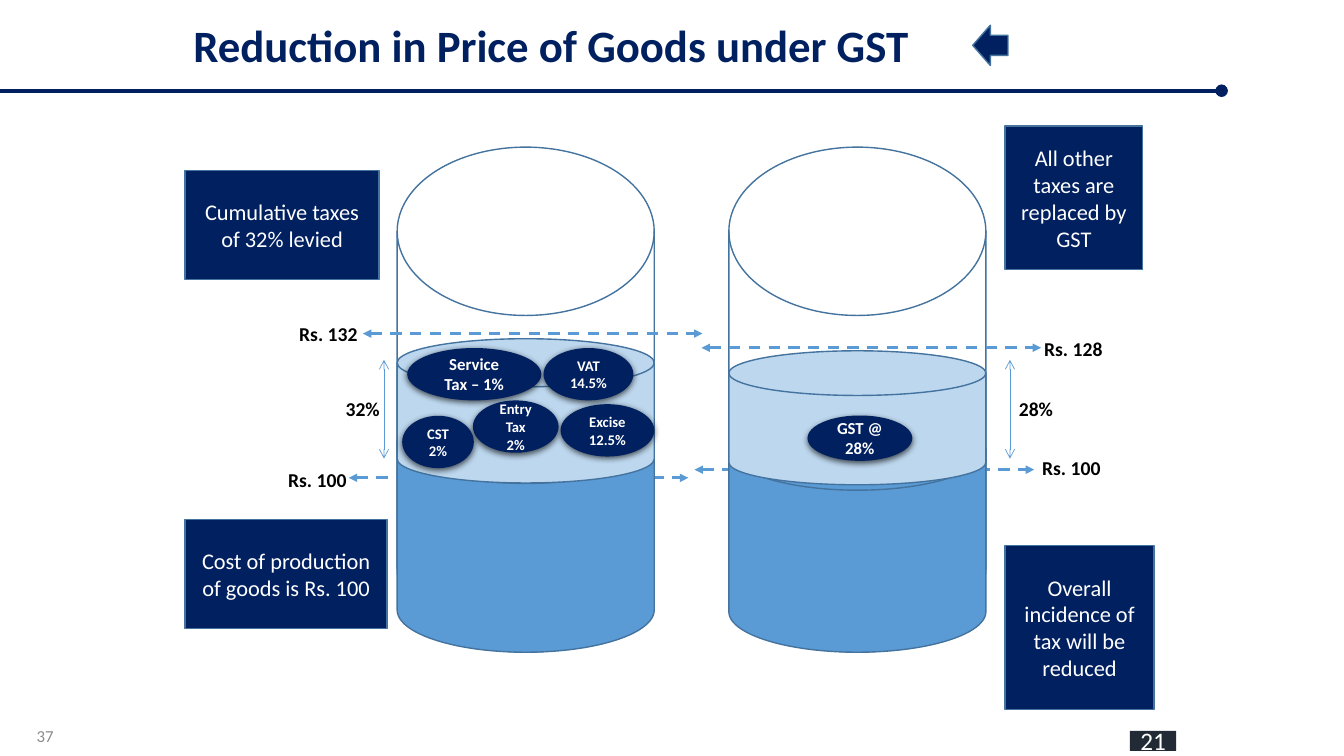
from lxml.etree import SubElement
from pptx import Presentation
from pptx.dml.color import RGBColor
from pptx.enum.dml import MSO_LINE
from pptx.enum.shapes import MSO_CONNECTOR, MSO_SHAPE
from pptx.enum.text import MSO_ANCHOR, PP_ALIGN
from pptx.oxml.ns import qn
from pptx.util import Pt

NAVY = RGBColor(0x00, 0x20, 0x60)
BLUE = RGBColor(0x5B, 0x9B, 0xD5)
PALE_BLUE = RGBColor(0xBD, 0xD7, 0xEE)
OUTLINE = RGBColor(0x43, 0x73, 0x9E)
SLATE = RGBColor(0x22, 0x2A, 0x35)
GRAY = RGBColor(0x8C, 0x8C, 0x8C)
WHITE = RGBColor(0xFF, 0xFF, 0xFF)
BLACK = RGBColor(0x00, 0x00, 0x00)

# Content: all lengths in points; boxes are left, top, width, height
TITLE = "Reduction in Price of Goods under GST"
CYLINDER_WIDTH, CYLINDER_TOP, CYLINDER_BOTTOM = 183.6, 105.1, 465.9
CYLINDERS = [  # left, top of cost, top of tax, bottom of tax
    (283.7, 285.1, 242, 345),
    (520.6, 292.3, 250.6, 346.3),
]
PRICE_LENGTH = 242.6
PRICE_ARROWS = [(259.2, 238.3), (501.1, 248.4), (249.1, 341.3), (496.1, 335.5)]
TAX_ARROWS = [274.3, 721.4]
TAX_ARROW_TOP, TAX_ARROW_BOTTOM = 257, 327.6
LABELS = [  # text, left, top, width
    ("Rs. 132", 206.6, 226.1, 77.8),
    ("32%", 239.8, 280.1, 41),
    ("Rs. 100", 198.7, 330.5, 77.8),
    ("Rs. 128", 738.7, 236.9, 77.8),
    ("28%", 720.7, 280.1, 41),
    ("Rs. 100", 737.3, 321.8, 77.8),
]
NOTES = [
    ("Cost of production of goods is Rs. 100", (132.2, 371, 144.4, 77.8)),
    ("Cumulative taxes of 32% levied", (132.2, 122, 138.6, 77.8)),
    ("All other taxes are replaced by GST", (718, 90, 98.2, 102.6)),
    ("Overall incidence of tax will be reduced", (718, 389.5, 106.2, 117.4)),
]
TAXES = [
    ("Service\nTax – 1%", 12, (290.9, 248.6, 95.8, 37.4)),
    ("VAT 14.5%", 10.5, (388.2, 248.6, 64.2, 37.4)),
    ("Excise 12.5%", 10.5, (400.4, 288.7, 67, 37.4)),
    ("Entry\nTax 2%", 10.5, (337.8, 286, 61.2, 37.4)),
    ("CST 2%", 10.5, (287.3, 297, 51.2, 37.4)),
    ("GST @ 28%", 12, (576.8, 296.8, 74.9, 32.4)),
]

presentation = Presentation()
presentation.slide_width, presentation.slide_height = Pt(960), Pt(540)
slide = presentation.slides.add_slide(presentation.slide_layouts[6])


def write(shape, text, size, color, bold=False, align=PP_ALIGN.LEFT,
          anchor=MSO_ANCHOR.TOP, wrap=True):
    frame = shape.text_frame
    frame.word_wrap = wrap
    frame.vertical_anchor = anchor
    font_format = {"name": "Calibri", "size": Pt(size), "bold": bold}
    for index, line in enumerate(text.split("\n")):
        paragraph = frame.paragraphs[0] if index == 0 else frame.add_paragraph()
        paragraph.alignment = align
        font = paragraph.add_run().font
        paragraph.runs[0].text = line
        for name, value in font_format.items():
            setattr(font, name, value)
        font.color.rgb = color


def add_text(box, *args, **options):
    write(slide.shapes.add_textbox(*map(Pt, box)), *args, **options)


def add_shape(kind, box, fill=None, line=OUTLINE):
    shape = slide.shapes.add_shape(kind, *map(Pt, box))
    shape.shadow.inherit = False
    if fill is None:
        shape.fill.background()
    else:
        shape.fill.solid()
        shape.fill.fore_color.rgb = fill
    if line is None:
        shape.line.fill.background()
    else:
        shape.line.color.rgb = line
        shape.line.width = Pt(1)
    return shape


def add_line(start, end, color, width, head=None, tail=None, dash=None):
    connector = slide.shapes.add_connector(
        MSO_CONNECTOR.STRAIGHT, *map(Pt, start + end))
    connector.line.color.rgb = color
    connector.line.width = Pt(width)
    if dash:
        connector.line.dash_style = dash
    properties = connector.line._get_or_add_ln()
    for tag, kind in (("a:headEnd", head), ("a:tailEnd", tail)):
        if kind:
            SubElement(properties, qn(tag), type=kind)
    SubElement(connector._element.spPr, qn("a:effectLst"))


def add_soft_shadow(shape):
    effects = shape._element.spPr.find(qn("a:effectLst"))
    shadow = SubElement(effects, qn("a:outerShdw"), blurRad=str(Pt(4.5)),
                        dist=str(Pt(1.5)), dir="5400000", rotWithShape="0")
    color = SubElement(shadow, qn("a:srgbClr"), val=str(BLACK))
    SubElement(color, qn("a:alpha"), val="63000")


def add_cylinder(left, top, bottom, fill=None):
    add_shape(MSO_SHAPE.FLOWCHART_MAGNETIC_DISK,
              (left, top, CYLINDER_WIDTH, bottom - top), fill)


centered = {"align": PP_ALIGN.CENTER, "anchor": MSO_ANCHOR.MIDDLE}

# Title, rule and page number
add_line((0, 64.8), (872.6, 64.8), NAVY, 3, tail="oval")
add_text((131, 9.4, 530.6, 46), TITLE, 32, NAVY, bold=True, wrap=False)
add_shape(MSO_SHAPE.LEFT_ARROW, (694.8, 18, 25.2, 28.8), NAVY)
add_text((0, 511.2, 45.4, 28.8), "37", 12, GRAY,
         align=PP_ALIGN.RIGHT, anchor=MSO_ANCHOR.MIDDLE)

# Empty cylinders and price levels, behind the filled parts
for left, *_ in CYLINDERS:
    add_cylinder(left, CYLINDER_TOP, CYLINDER_BOTTOM)
for left, top in PRICE_ARROWS:
    add_line((left, top), (left + PRICE_LENGTH, top), BLUE, 2,
             "triangle", "triangle", MSO_LINE.DASH)

# Cost and tax portions
for left, cost_top, tax_top, tax_bottom in CYLINDERS:
    add_cylinder(left, cost_top, CYLINDER_BOTTOM, BLUE)
    add_cylinder(left, tax_top, tax_bottom, PALE_BLUE)
for text, size, box in TAXES:
    bubble = add_shape(MSO_SHAPE.OVAL, box, NAVY, line=None)
    add_soft_shadow(bubble)
    write(bubble, text, size, WHITE, bold=True, **centered)

# Tax ranges and labels
for left in TAX_ARROWS:
    add_line((left, TAX_ARROW_TOP), (left, TAX_ARROW_BOTTOM), BLUE, 0.5,
             "arrow", "arrow")
for text, left, top, width in LABELS:
    add_text((left, top, width, 24.5), text, 14, BLACK, bold=True)

# Notes and slide number tag
for text, box in NOTES:
    write(add_shape(MSO_SHAPE.RECTANGLE, box, NAVY), text, 16, WHITE, **centered)
tag = add_shape(MSO_SHAPE.RECTANGLE, (807.1, 522, 33.1, 14.4), SLATE, line=None)
write(tag, "21", 18, WHITE, **centered)

presentation.save("out.pptx")
